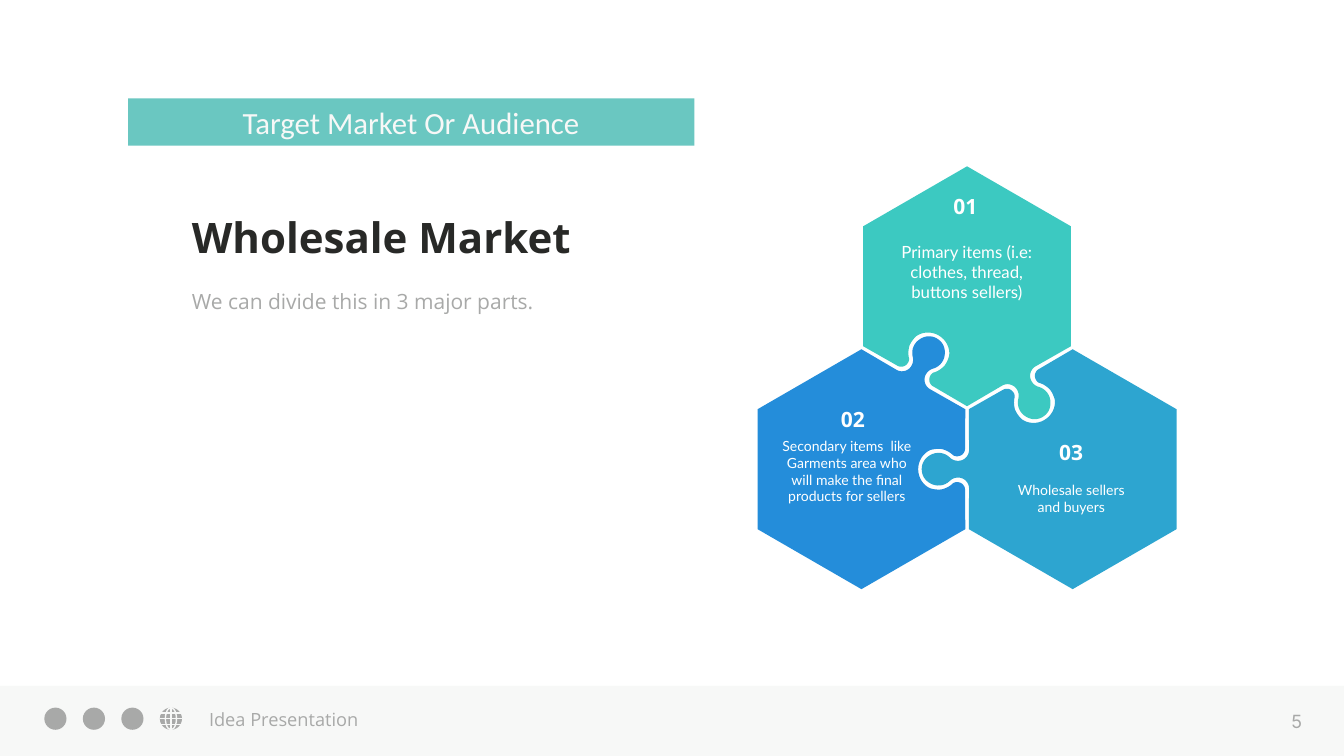
"""Build the target market slide with three interlocking hexagons."""
from math import cos, sin, radians
from pptx import Presentation
from pptx.dml.color import RGBColor
from pptx.enum.shapes import MSO_CONNECTOR as Line, MSO_SHAPE as Kind
from pptx.enum.text import MSO_ANCHOR as Anchor, PP_ALIGN as Align
from pptx.oxml import parse_xml
from pptx.oxml.ns import nsdecls
from pptx.util import Inches, Pt

WIDE, HIGH = 26.67, 15
GREY, PALE, WHITE = "A8A9A8", "F7F8F7", "FFFFFF"
HUB, REACH, RADIUS, MID = (19.19, 8.1), 2.42, 2.38, 1.21
TITLE = "Target Market Or Audience"
PIECES = [
    (270, "3CC9C1", "01", (18.52, 3.78),
     "Primary items (i.e: clothes, thread, buttons sellers)", (17.75, 4.73, 2.87, 1.32), 24),
    (30, "2DA5D0", "03", (20.62, 8.66),
     "Wholesale sellers and buyers", (20.11, 9.49, 2.3, 0.79), 20),
    (150, "248DDA", "02", (16.29, 8),
     "Secondary items  like Garments area who will make the final products for sellers",
     (15.45, 8.62, 2.71, 1.8), 20),
]
LABELS = [
    ("Idea Presentation", (4.05, 13.95, 3.67, 0.64), dict(size=26, color=GREY)),
    ("5", (25.3, 14.01, 0.87, 0.58),
     dict(size=26, name="Inter", color=GREY, align=Align.CENTER, anchor=Anchor.MIDDLE)),
    ("Wholesale Market", (3.71, 4.09, 9.16, 1.21), dict(size=60, color="282927", bold=True)),
    ("We can divide this in 3 major parts.", (3.71, 5.63, 8.8, 0.71), dict(size=30, color=GREY)),
]
TAB = [(-.38, -.04), (-.29, -.04), (-.21, .02), (-.18, .1), (-.15, .18), (-.17, .28),
       (-.23, .34), (-.34, .45), (-.35, .61), (-.28, .73), (-.22, .84), (-.12, .9), (0, .9)]
SOCKET = [(-.4, .04), (-.35, .04), (-.29, .08), (-.27, .13), (-.25, .18), (-.25, .24),
          (-.28, .28), (-.35, .35), (-.38, .43), (-.4, .5), (-.41, .58), (-.4, .66),
          (-.38, .73), (-.32, .87), (-.17, .97), (0, .97)]


def tint(code):
    return RGBColor.from_string(code)


def box(at):
    return [Inches(n) for n in at]


def paint(shape, fill):
    shape.shadow.inherit = False
    shape.fill.solid()
    shape.fill.fore_color.rgb = tint(fill)
    shape.line.fill.background()


def write(shape, text, size, color, name="Open Sans", bold=False,
          align=Align.LEFT, anchor=Anchor.TOP, pad=0.1):
    frame = shape.text_frame
    sides = {f"margin_{side}": Inches(pad) for side in ("left", "right", "top", "bottom")}
    for key, value in {**sides, "word_wrap": True, "vertical_anchor": anchor}.items():
        setattr(frame, key, value)
    par = frame.paragraphs[0]
    par.alignment = align
    run = par.add_run()
    run.text = text
    for key, value in dict(size=Pt(size), name=name, bold=bold).items():
        setattr(run.font, key, value)
    run.font.color.rgb = tint(color)


def move(start, size, angle):
    turn = radians(angle)
    return start[0] + size * cos(turn), start[1] + size * sin(turn)


def curve(half, steps=8):
    """Sample a chain of cubic curves made of a half and its mirror."""
    knots = half + [(-u, v) for u, v in half[-2::-1]]
    spots = [knots[0]]
    for i in range(0, len(knots) - 1, 3):
        for step in range(1, steps + 1):
            t = step / steps
            parts = ((1 - t) ** 3, 3 * t * (1 - t) ** 2, 3 * t * t * (1 - t), t ** 3)
            spots.append(tuple(sum(w * knot[k] for w, knot in zip(parts, knots[i:i + 4]))
                               for k in (0, 1)))
    return spots


def joint(half, angle):
    return [move(move(HUB, MID + u, angle), v, angle + 90) for u, v in curve(half)]


def outline(axis):
    core = move(HUB, REACH, axis)
    ends = [move(core, RADIUS, axis + 180 + 60 * i) for i in range(6)]
    return ends[:1] + joint(SOCKET, axis - 60) + ends[1:] + joint(TAB, axis + 60)[::-1]


def rule(shapes, ends):
    bar = shapes.add_connector(Line.STRAIGHT, *box(ends))
    bar.line.color.rgb, bar.line.width = tint(PALE), Pt(2)
    bar._element.spPr.append(parse_xml(f"<a:effectLst {nsdecls('a')}/>"))


def icons(shapes, left=0.88, top=14.04, size=0.44, pitch=0.764):
    for i in range(4):
        paint(shapes.add_shape(Kind.OVAL, *box((left + i * pitch, top, size, size))), GREY)
    globe = left + 3 * pitch
    ring = shapes.add_shape(Kind.OVAL, *box((globe + size / 4, top, size / 2, size)))
    ring.shadow.inherit = False
    ring.fill.background()
    ring.line.color.rgb, ring.line.width = tint(PALE), Pt(2)
    rule(shapes, (globe + size / 2, top, globe + size / 2, top + size))
    for share in (.25, .5, .75):
        rule(shapes, (globe, top + share * size, globe + size, top + share * size))


def main():
    deck = Presentation()
    deck.slide_width, deck.slide_height = box((WIDE, HIGH))
    slide = deck.slides.add_slide(deck.slide_layouts[5])
    shapes = slide.shapes
    foot = shapes.add_shape(Kind.RECTANGLE, *box((0, 13.61, WIDE, HIGH - 13.61)))
    paint(foot, PALE)
    icons(shapes)
    for text, at, style in LABELS:
        write(shapes.add_textbox(*box(at)), text, **style)
    for axis, fill, *_ in PIECES:
        spots = [box(spot) for spot in outline(axis)]
        pen = shapes.build_freeform(*spots[0], scale=1.0)
        pen.add_line_segments(spots[1:], close=True)
        paint(pen.convert_to_shape(), fill)
    for _, _, mark, spot, text, at, size in PIECES:
        style = dict(color=WHITE, align=Align.CENTER, pad=0.06)
        write(shapes.add_textbox(*box((*spot, 1.27, 0.62))), mark, 30, bold=True, **style)
        write(shapes.add_textbox(*box(at)), text, size, name="Lato", **style)
    title = shapes.title
    for key, value in zip(("left", "top", "width", "height"), box((2.54, 1.95, 11.24, 0.94))):
        setattr(title, key, value)
    title.fill.solid()
    title.fill.fore_color.rgb = tint("6AC7C1")
    write(title, TITLE, 44, PALE, "Calibri", align=Align.CENTER, anchor=Anchor.MIDDLE)
    deck.save("out.pptx")


main()
